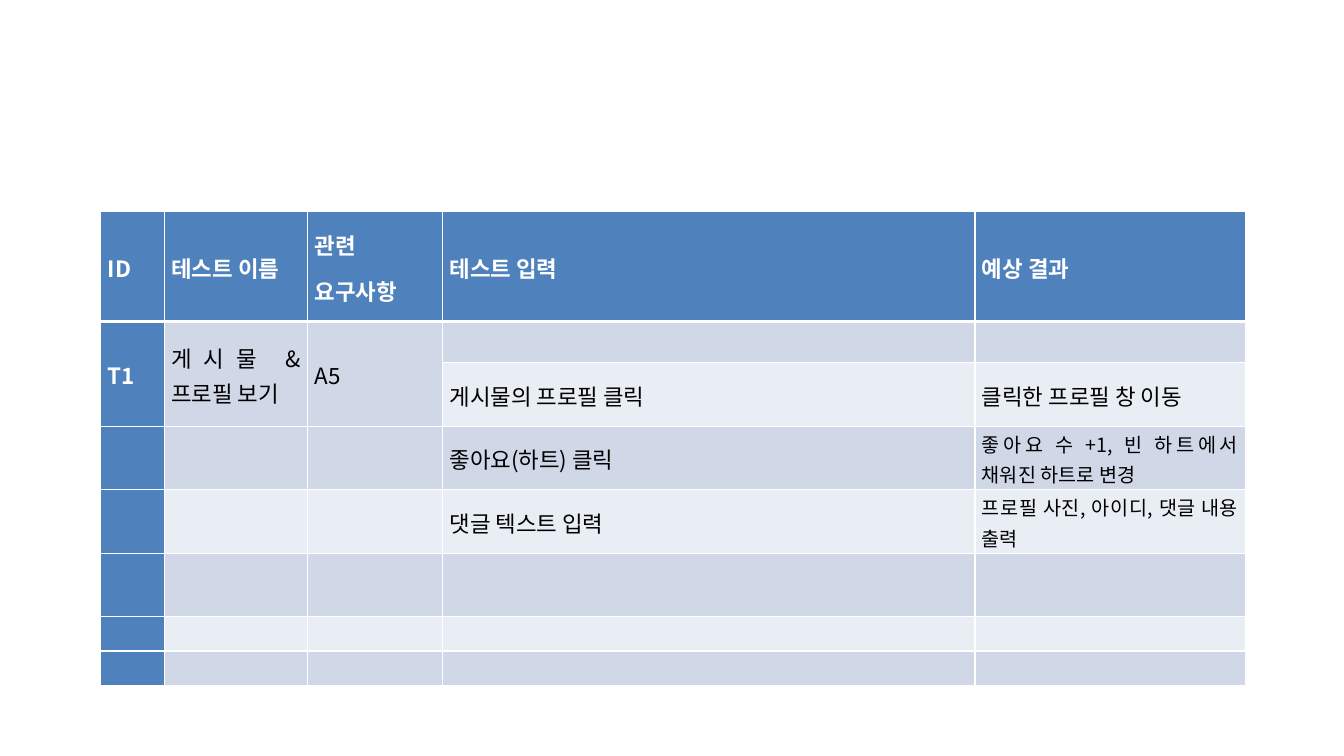
"""Build a slide with a test case table."""
from lxml import etree
from pptx import Presentation
from pptx import util as u
from pptx.dml.color import RGBColor
from pptx.enum import text
from pptx.oxml import ns

COLORS = {"header": "4F81BD", "odd": "D0D8E8", "even": "E9EDF4", "light": "FFFFFF", "dark": "000000"}
FONT = "Noto Sans CJK KR"
COLUMN_WIDTHS = [0.63, 1.42, 1.34, 5.28, 2.68]
ROW_HEIGHTS = [1.09, 0.41, 0.63, 0.63, 0.63, 0.63, 0.34, 0.34]
CONTENT = [
    ["ID", "테스트 이름", "관련\n요구사항", "테스트 입력", "예상 결과"],
    ["T1", "게시물 & 프로필 보기", "A5", "", ""],
    ["", "", "", "게시물의 프로필 클릭", "클릭한 프로필 창 이동"],
    ["", "", "", "좋아요(하트) 클릭", "좋아요 수 +1, 빈 하트에서 채워진 하트로 변경"],
    ["", "", "", "댓글 텍스트 입력", "프로필 사진, 아이디, 댓글 내용 출력"],
]
SMALL_ROWS = (3, 4)
RESULT_COLUMN = 4


def add_borders(cell, top, bottom):
    properties = cell._tc.get_or_add_tcPr()
    for index, (side, width) in enumerate([("L", 1), ("R", 1), ("T", top), ("B", bottom)]):
        line = etree.Element(ns.qn(f"a:ln{side}"), w=str(u.Pt(width)))
        fill = etree.SubElement(line, ns.qn("a:solidFill"))
        etree.SubElement(fill, ns.qn("a:srgbClr"), val=COLORS["light"])
        properties.insert(index, line)


def format_text(cell, size, bold, color):
    for para in cell.text_frame.paragraphs:
        para.alignment = text.PP_ALIGN.JUSTIFY
        para.line_spacing = 1.07
        para.space_after = u.Pt(8)
        for span in para.runs:
            span.font.size = u.Pt(size)
            span.font.bold = bold
            span.font.name = FONT
            span.font.color.rgb = RGBColor.from_string(color)
            etree.SubElement(span.font._element, ns.qn("a:ea"), typeface=FONT)


deck = Presentation()
deck.slide_width = u.Inches(13.33)
deck.slide_height = u.Inches(7.5)
page = deck.slides.add_slide(deck.slide_layouts[6])

frame = page.shapes.add_table(
    len(ROW_HEIGHTS), len(COLUMN_WIDTHS), u.Inches(1), u.Inches(2.1),
    u.Inches(sum(COLUMN_WIDTHS)), u.Inches(sum(ROW_HEIGHTS)))
table = frame.table
table.first_row = table.horz_banding = False
for column, width in zip(table.columns, COLUMN_WIDTHS):
    column.width = u.Inches(width)
for row, height in zip(table.rows, ROW_HEIGHTS):
    row.height = u.Inches(height)

for r in range(len(ROW_HEIGHTS)):
    for c in range(len(COLUMN_WIDTHS)):
        cell = table.cell(r, c)
        heading = r == 0 or c == 0
        band = "odd" if r % 2 else "even"
        cell.fill.solid()
        cell.fill.fore_color.rgb = RGBColor.from_string(COLORS["header" if heading else band])
        add_borders(cell, 3 if r == 1 else 1, 3 if r == 0 else 1)
        cell.vertical_anchor = text.MSO_ANCHOR.MIDDLE
        cell.margin_left = cell.margin_right = u.Inches(0.07)
        cell.margin_top = cell.margin_bottom = 0
        if r < len(CONTENT) and CONTENT[r][c]:
            cell.text_frame.text = CONTENT[r][c]
            size = 14 if r in SMALL_ROWS and c == RESULT_COLUMN else 16
            format_text(cell, size, heading, COLORS["light" if heading else "dark"])

for c in range(3):
    table.cell(1, c).merge(table.cell(2, c))

deck.save("out.pptx")
